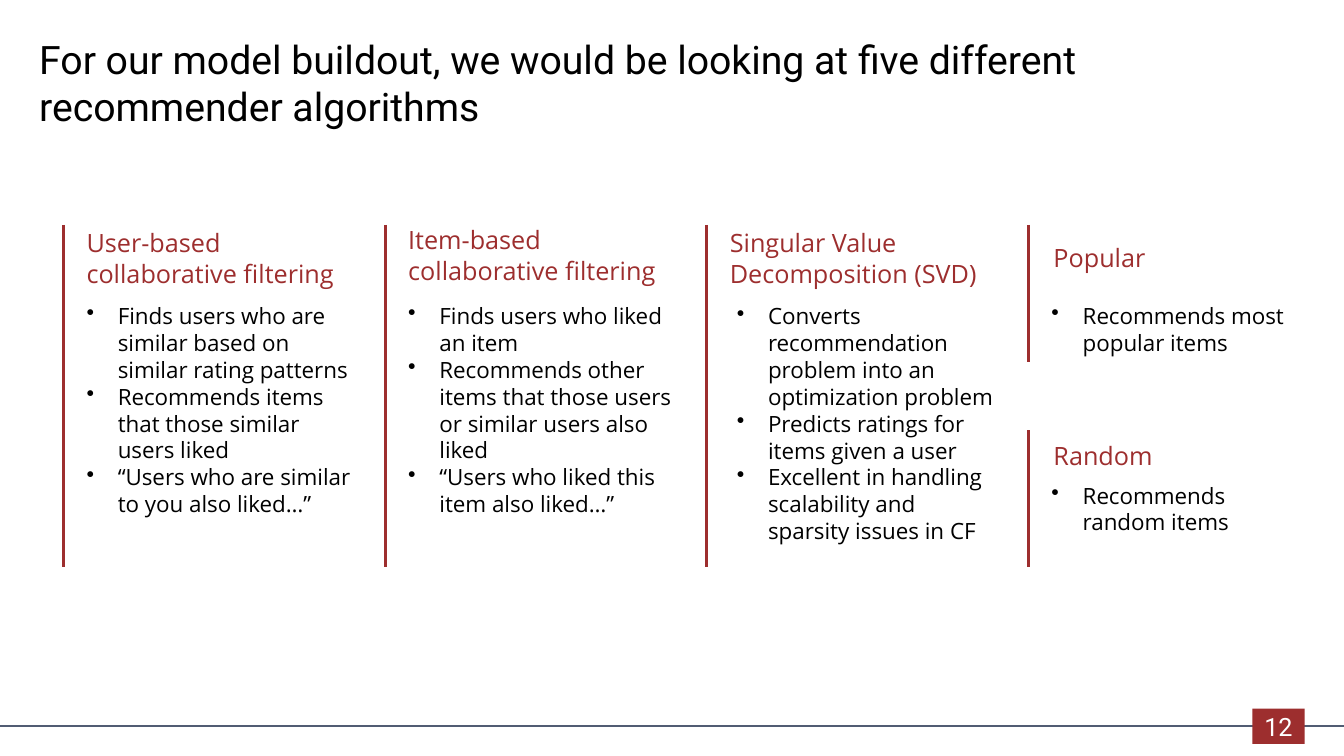
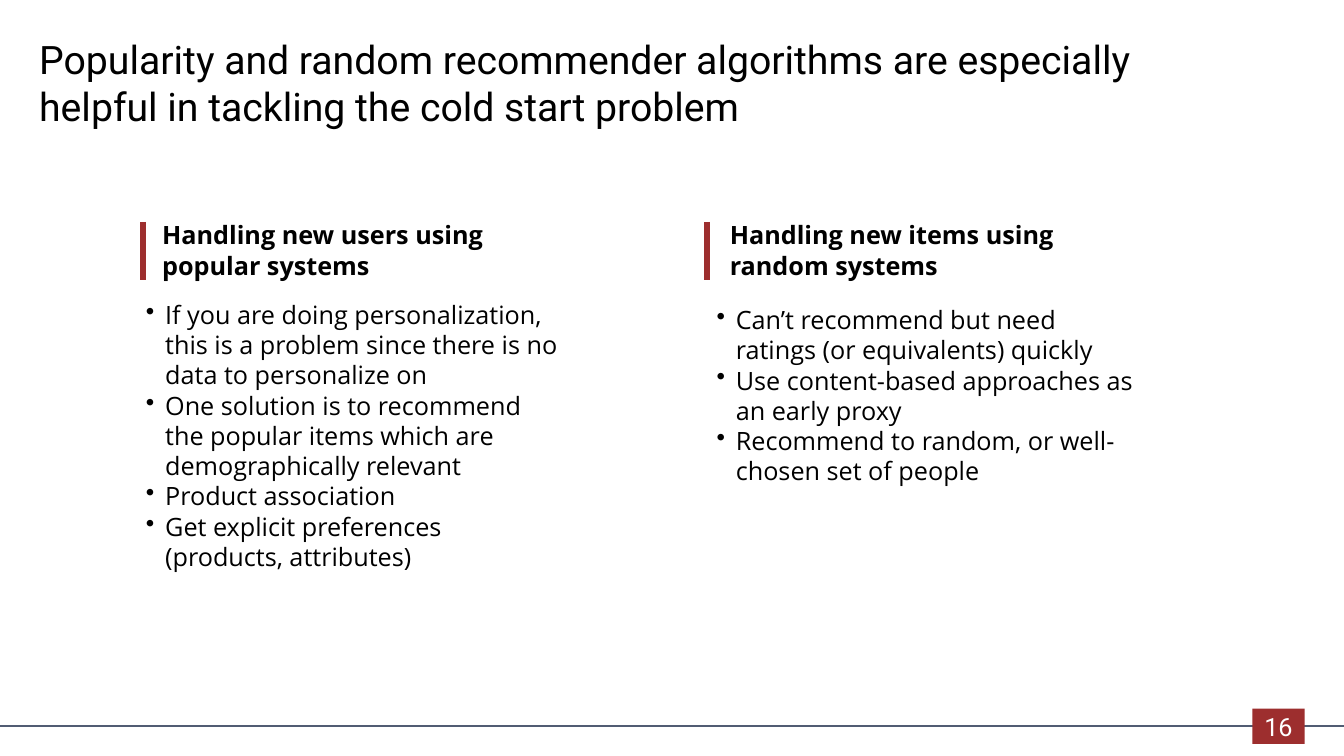
import pptx
import pptx.util
import pptx.dml.color
import pptx.enum.shapes
import pptx.enum.text
from lxml import etree
from pptx.util import Inches

COLORS = {"red": "9D2E2E", "rule": "515C73", "black": "000000", "white": "FFFFFF"}
HEAD_FONT, BODY_FONT = "Roboto", "Open Sans"


def rgb(name):
    return pptx.dml.color.RGBColor.from_string(COLORS[name])


def write(p, text, size=18, font=BODY_FONT, color="black", bold=False):
    r = p.add_run()
    r.text = text
    r.font.size = pptx.util.Pt(size)
    r.font.name = font
    r.font.color.rgb = rgb(color)
    r.font.bold = bold


class Deck:
    """Shared style and the slide being built."""

    def __init__(self):
        self.prs = pptx.Presentation()
        self.prs.slide_width, self.prs.slide_height = Inches(13.33), Inches(7.5)
        self.s = None

    def slide(self, title, number):
        self.s = self.prs.slides.add_slide(self.prs.slide_layouts[6])
        # Footer rule and page number
        self.line(-0.02, 7.2, 13.33, 7.2, "rule", 1.5)
        sp = self.s.shapes.add_shape(pptx.enum.shapes.MSO_SHAPE.RECTANGLE,
                                     Inches(12.42), Inches(7.03), Inches(0.52), Inches(0.35))
        sp.shadow.inherit = False
        sp.fill.solid()
        sp.fill.fore_color.rgb = rgb("red")
        sp.line.fill.background()
        tf = sp.text_frame
        tf.vertical_anchor = pptx.enum.text.MSO_ANCHOR.MIDDLE
        tf.paragraphs[0].alignment = pptx.enum.text.PP_ALIGN.CENTER
        write(tf.paragraphs[0], str(number), font=HEAD_FONT, color="white")
        # Title
        self.text(0.29, 0.3, 12.21, 1.04, [title], size=28, font=HEAD_FONT)

    def line(self, x1, y1, x2, y2, color="red", width=2):
        ln = self.s.shapes.add_connector(pptx.enum.shapes.MSO_CONNECTOR.STRAIGHT,
                                         Inches(x1), Inches(y1), Inches(x2), Inches(y2))
        ln.line.color.rgb = rgb(color)
        ln.line.width = pptx.util.Pt(width)
        etree.SubElement(ln._element.spPr, pptx.oxml.ns.qn("a:effectLst"))

    def text(self, x, y, w, h, paragraphs, indent=None, **style):
        tf = self.s.shapes.add_textbox(Inches(x), Inches(y), Inches(w), Inches(h)).text_frame
        tf.word_wrap = True
        tf.auto_size = pptx.enum.text.MSO_AUTO_SIZE.SHAPE_TO_FIT_TEXT
        for i, content in enumerate(paragraphs):
            p = tf.add_paragraph() if i else tf.paragraphs[0]
            if indent:
                pPr = p._p.get_or_add_pPr()
                pPr.set("marL", str(Inches(indent)))
                pPr.set("indent", str(-Inches(indent)))
                etree.SubElement(pPr, pptx.oxml.ns.qn("a:buChar")).set("char", "•")
            write(p, content, **style)


def algorithms(deck):
    deck.slide("For our model buildout, we would be looking at five different "
               "recommender algorithms", 12)
    # column, bar top and bottom, heading offset and top, body offset, top, width and height
    blocks = [
        (0, 2.23, 5.63, 0.13, 2.21, 0.13, 2.95, 2.92, 2.26, "User-based collaborative filtering",
         ["Finds users who are similar based on similar rating patterns",
          "Recommends items that those similar users liked",
          "“Users who are similar to you also liked…”"]),
        (1, 2.23, 5.63, 0.13, 2.18, 0.13, 2.95, 2.86, 2.26, "Item-based collaborative filtering",
         ["Finds users who liked an item",
          "Recommends other items that those users or similar users also liked",
          "“Users who liked this item also liked…”"]),
        (2, 2.23, 5.63, 0.13, 2.21, 0.2, 2.95, 2.76, 2.52, "Singular Value Decomposition (SVD)",
         ["Converts recommendation problem into an optimization problem",
          "Predicts ratings for items given a user",
          "Excellent in handling scalability and sparsity issues in CF"]),
        (3, 2.23, 3.59, 0.15, 2.36, 0.13, 2.95, 2.71, 0.64, "Popular",
         ["Recommends most popular items"]),
        (3, 4.27, 5.63, 0.15, 4.32, 0.13, 4.73, 2.71, 0.64, "Random",
         ["Recommends random items"]),
    ]
    for col, top, bottom, head_dx, head_y, dx, y, w, h, heading, bullets in blocks:
        x = 0.63 + 3.19 * col
        head_h = 0.71 if col < 3 else 0.4
        deck.line(x, top, x, bottom)
        deck.text(x + head_dx, head_y, 2.92, head_h, [heading], color="red")
        deck.text(x + dx, y, w, h, bullets, indent=0.31, size=16)


def cold_start(deck):
    deck.slide("Popularity and random recommender algorithms are especially helpful "
               "in tackling the cold start problem", 16)
    # bar, heading and body left, body top, width and height
    blocks = [
        (1.42, 1.51, 1.35, 2.92, 4.3, 2.8, "Handling new users using popular systems",
         ["If you are doing personalization, this is a problem since there is no data "
          "to personalize on",
          "One solution is to recommend the popular items which are demographically relevant",
          "Product association",
          "Get explicit preferences (products, attributes)"]),
        (7.01, 7.14, 7.01, 2.97, 4.33, 1.92, "Handling new items using random systems",
         ["Can’t recommend but need ratings (or equivalents) quickly",
          "Use content-based approaches as an early proxy",
          "Recommend to random, or well-chosen set of people"]),
    ]
    for bar_x, head_x, x, y, w, h, heading, bullets in blocks:
        deck.line(bar_x, 2.2, bar_x, 2.78, width=4.5)
        deck.text(head_x, 2.13, 3.43, 0.71, [heading], bold=True)
        deck.text(x, y, w, h, bullets, indent=0.19)


def main():
    deck = Deck()
    algorithms(deck)
    cold_start(deck)
    deck.prs.save("out.pptx")


if __name__ == "__main__":
    main()
